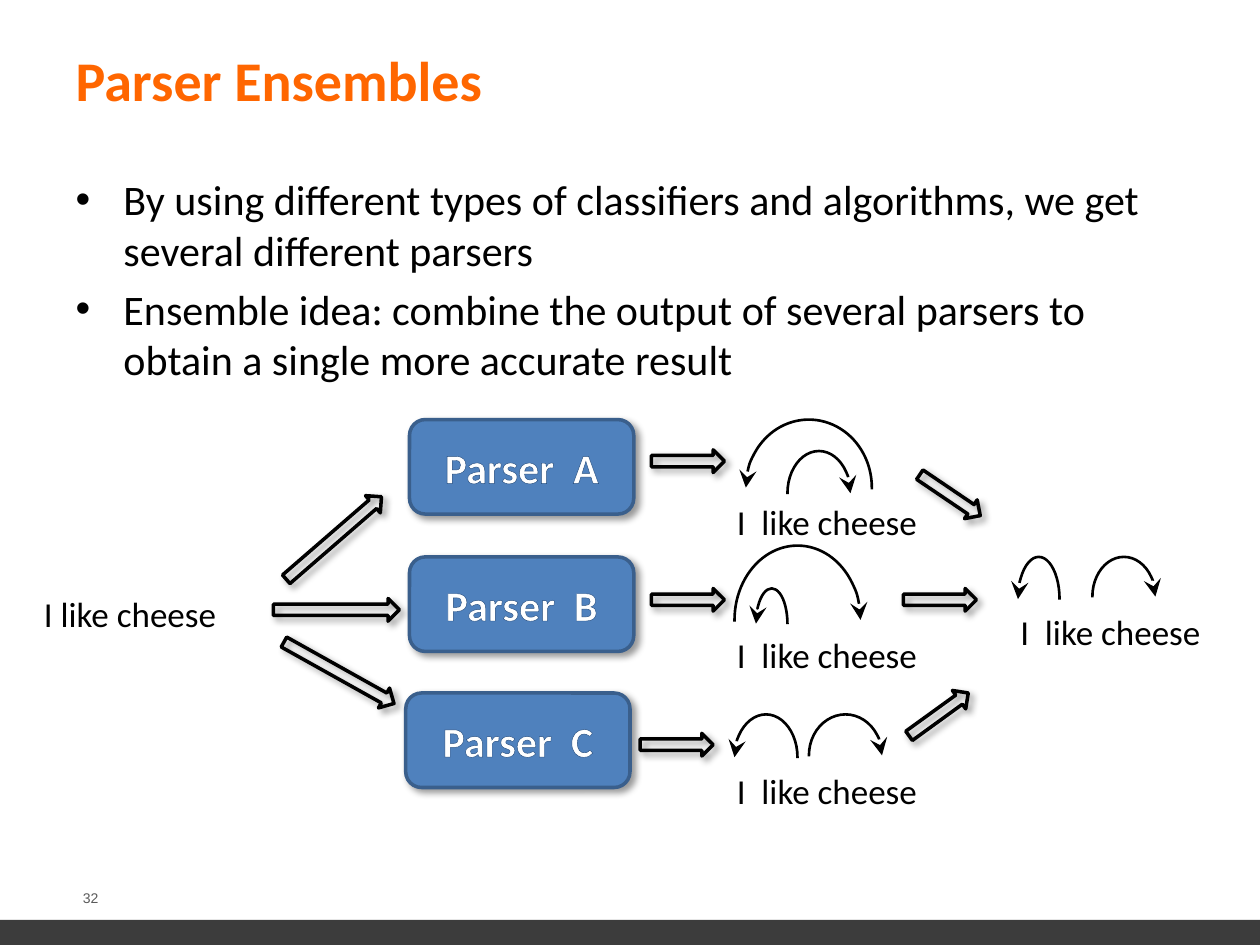
import pptx
import pptx.dml.color
import pptx.enum.shapes
import pptx.enum.text
import pptx.oxml
import pptx.oxml.ns
import pptx.util
from lxml import etree
from pptx.util import Inches

COLORS = {
    "title": "FF6600", "text": "000000", "footer": "3C3C3C", "number": "5A5A5A",
    "parser": "4F81BD", "parser_line": "3A5F8C", "parser_text": "FFFFFF",
    "text_outline": "1F497D",
}
SHAPES = pptx.enum.shapes.MSO_SHAPE
ANCHOR = pptx.enum.text.MSO_ANCHOR
ALIGN = pptx.enum.text.PP_ALIGN
FIT = pptx.enum.text.MSO_AUTO_SIZE
qn = pptx.oxml.ns.qn

BULLETS = [
    "By using different types of classifiers and algorithms, we get several different parsers",
    "Ensemble idea: combine the output of several parsers to obtain a single more accurate result",
]
PARSERS = [("A", 3.25, 3.33), ("B", 3.25, 4.42), ("C", 3.22, 5.5)]
ARROWS = [
    (2.17, 4.75, 1, 0), (2.15, 4.18, 1, 319.1), (2.19, 5.25, 1, 29.2),
    (5.17, 3.57, 0.58, 0), (5.17, 4.67, 0.58, 0), (5.08, 5.82, 0.58, 0),
    (7.25, 3.84, 0.58, 34.1), (7.17, 4.67, 0.58, 0), (7.16, 5.58, 0.58, 324.1),
]
PARSED_SENTENCES = [(5.75, 3.92), (5.75, 4.98), (8, 4.8), (5.75, 6.06)]
LEFT_ARCS = [
    (5.92, 3.33, 1, 1.08), (6, 4.67, 0.25, 0.56),
    (8.08, 4.42, 0.33, 0.67), (5.83, 5.67, 0.5, 0.68),
]
RIGHT_ARCS = [
    (6.25, 3.58, 0.5, 0.67), (5.83, 4.33, 1, 1.18),
    (8.67, 4.42, 0.5, 0.63), (6.42, 5.67, 0.58, 0.65),
]


def rgb(name):
    """Return the named colour."""
    return pptx.dml.color.RGBColor.from_string(COLORS[name])


def place(shape, left, top, width, height):
    """Move and size a shape, in inches."""
    shape.left, shape.top = Inches(left), Inches(top)
    shape.width, shape.height = Inches(width), Inches(height)


def add_span(para, text, size, color, bold=False, font="Calibri"):
    """Add one formatted run to a paragraph."""
    span = para.add_run()
    span.text = text
    span.font.size = pptx.util.Pt(size)
    span.font.name = font
    span.font.bold = bold
    span.font.color.rgb = rgb(color)
    return span


def add_text(page, text, left, top, width, height, size=20, color="text",
             font="Calibri", wrap=False):
    """Add a one-line text box."""
    box = page.shapes.add_textbox(*map(Inches, (left, top, width, height)))
    box.text_frame.word_wrap = wrap
    box.text_frame.auto_size = FIT.SHAPE_TO_FIT_TEXT
    add_span(box.text_frame.paragraphs[0], text, size, color, font=font)


def add_shape(page, kind, left, top, width, height, fill=None, line=None, weight=2):
    """Add a preset shape with no shadow."""
    shape = page.shapes.add_shape(kind, *map(Inches, (left, top, width, height)))
    shape.shadow.inherit = False
    if fill:
        shape.fill.solid()
        shape.fill.fore_color.rgb = rgb(fill)
    else:
        shape.fill.background()
    if line:
        shape.line.color.rgb = rgb(line)
        shape.line.width = pptx.util.Pt(weight)
    else:
        shape.line.fill.background()
    return shape


def add_shadow(shape):
    """Give a shape a soft shadow to the lower right."""
    effects = shape.element.spPr.find(qn("a:effectLst"))
    shadow = etree.SubElement(
        effects, qn("a:outerShdw"), blurRad=str(pptx.util.Pt(4)),
        dist=str(pptx.util.Pt(3)), dir="2700000", algn="tl", rotWithShape="0")
    color = etree.SubElement(shadow, qn("a:srgbClr"), val=COLORS["text"])
    etree.SubElement(color, qn("a:alpha"), val="40000")


def add_parser(page, letter, left, top):
    """Add a parser box with outlined lettering."""
    box = add_shape(page, SHAPES.ROUNDED_RECTANGLE, left, top, 1.78, 0.75,
                    "parser", "parser_line")
    add_shadow(box)
    box.text_frame.vertical_anchor = ANCHOR.MIDDLE
    para = box.text_frame.paragraphs[0]
    para.alignment = ALIGN.CENTER
    span = add_span(para, f"Parser  {letter}", 24, "parser_text", True)
    outline = etree.Element(qn("a:ln"), w=str(pptx.util.Pt(0.75)))
    fill = etree.SubElement(outline, qn("a:solidFill"))
    etree.SubElement(fill, qn("a:srgbClr"), val=COLORS["text_outline"])
    span.font.fill
    span._r.get_or_add_rPr().insert(0, outline)


def add_block_arrow(page, left, top, width, rotation):
    """Add a hollow block arrow."""
    arrow = add_shape(page, SHAPES.RIGHT_ARROW, left, top, width, 0.18, line="text")
    add_shadow(arrow)
    arrow.rotation = rotation


def add_arc(page, left, top, width, height, flipped):
    """Add a dependency arc that ends in an arrowhead."""
    arc = add_shape(page, SHAPES.ARC, left, top, width, height, line="text", weight=1.5)
    arc.adjustments[0] = 107
    arc.adjustments[1] = 0
    if flipped:
        arc.element.spPr.find(qn("a:xfrm")).set("flipH", "1")
    line = arc.element.spPr.find(qn("a:ln"))
    etree.SubElement(line, qn("a:tailEnd"), type="stealth", w="lg", len="lg")


def fill_title(page):
    """Write the slide title."""
    title = page.shapes.title
    place(title, 0.5, 0, 9, 1.25)
    title.text_frame.vertical_anchor = ANCHOR.MIDDLE
    para = title.text_frame.paragraphs[0]
    para.alignment = ALIGN.LEFT
    add_span(para, "Parser Ensembles", 32, "title", True)


def fill_body(page):
    """Write the bulleted list."""
    body = page.placeholders[1]
    place(body, 0.5, 1.33, 9, 1.92)
    frame = body.text_frame
    frame.auto_size = FIT.NONE
    for index, text in enumerate(BULLETS):
        para = frame.add_paragraph() if index else frame.paragraphs[0]
        para.space_before = pptx.util.Pt(4.8 if index else 0)
        properties = para._p.get_or_add_pPr()
        properties.set("marL", str(Inches(0.38)))
        properties.set("indent", str(Inches(-0.38)))
        etree.SubElement(properties, qn("a:buChar"), char="•")
        add_span(para, text, 24, "text")


def main():
    """Build the slide and save it."""
    deck = pptx.Presentation()
    deck.slide_width, deck.slide_height = Inches(10), Inches(7.5)
    page = deck.slides.add_slide(deck.slide_layouts[1])
    fill_title(page)
    fill_body(page)
    add_shape(page, SHAPES.RECTANGLE, 0, 7.3, 10, 0.2, "footer")
    add_text(page, "32", 0.56, 7.01, 0.34, 0.23, 8, "number", "Arial")
    add_text(page, "I like cheese", 0.25, 4.65, 1.58, 0.44)
    for parser in PARSERS:
        add_parser(page, *parser)
    for arrow in ARROWS:
        add_block_arrow(page, *arrow)
    for left, top in PARSED_SENTENCES:
        add_text(page, "I  like cheese", left, top, 1.67, 0.44, wrap=True)
    for arcs, flipped in ((LEFT_ARCS, True), (RIGHT_ARCS, False)):
        for arc in arcs:
            add_arc(page, *arc, flipped)
    deck.save("out.pptx")


if __name__ == "__main__":
    main()
